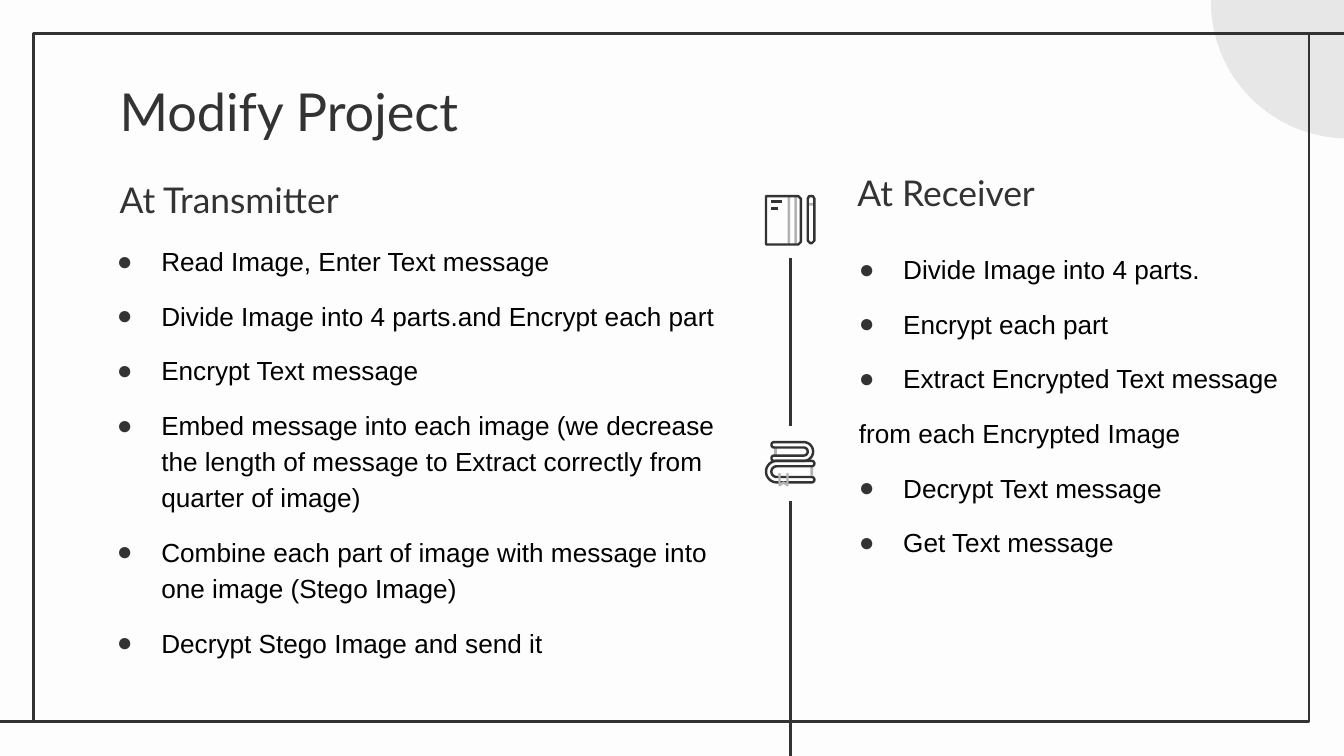
from math import cos, sin, pi
from lxml import etree
from pptx import Presentation
from pptx.dml.color import RGBColor
from pptx.enum.shapes import MSO_CONNECTOR as CONN, MSO_SHAPE as SHAPE
from pptx.enum.text import MSO_ANCHOR as ANCHOR, MSO_AUTO_SIZE as AUTO, PP_ALIGN as ALIGN
from pptx.oxml.ns import qn
from pptx.util import Inches, Pt

W = 10
H = W * 9 / 16
THEME = {
    "bg": "FDFDFD", "ink": "333333", "black": "000000", "grey": "B2B2B2", "disc": "E8E7E7",
    "head_font": "Lato", "body_font": "Arial",
    "title": 28, "heading": 19, "body": 14, "rule": 1.5, "icon": 1.3,
}
TITLE = "Modify Project"
TRANSMITTER = [
    "Read Image, Enter Text message",
    "Divide Image into 4 parts.and Encrypt each part",
    "Encrypt Text message",
    "Embed message into each image (we decrease the length of message to Extract correctly "
    "from quarter of image)",
    "Combine each part of image with message into one image (Stego Image)",
    "Decrypt Stego Image and send it",
]
RECEIVER = [
    "Divide Image into 4 parts.",
    "Encrypt each part",
    "Extract Encrypted Text message",
    "from each Encrypted Image",
    "Decrypt Text message",
    "Get Text message",
]
UNBULLETED = {"from each Encrypted Image"}
COLUMNS = [
    ("At Transmitter", (0.79, 1.26, 4.66, 0.48), TRANSMITTER, (0.6, 1.69, 5.03, 3.35)),
    ("At Receiver", (6.28, 1.26, 3.42, 0.43), RECEIVER, (6.12, 1.75, 3.6, 3.3)),
]
FRAME = (0.25, 0.25, 9.49, 5.12)
AXIS = 5.88
RULES = [
    ((0, 5.37), (0.25, 5.37)),
    ((9.74, 0.25), (W, 0.25)),
    ((AXIS, 1.92), (AXIS, 3.17)),
    ((AXIS, 3.73), (AXIS, H)),
]
NOTE_LINES = [((5.74, 1.5), (5.82, 1.5)), ((5.74, 1.55), (5.79, 1.55))]
STRIPS = [(5.86, 1.46, 0.02, 0.36), (5.91, 1.46, 0.02, 0.36), (6.01, 1.51, 0.05, 0.02),
          (6.03, 3.47, 0.02, 0.07), (5.76, 3.33, 0.02, 0.06)]
COVER = [(5.7, 1.46), (5.94, 1.46), (5.96, 1.48), (5.96, 1.8), (5.94, 1.82), (5.7, 1.82)]
PEN = [(6.01, 1.48), (6.02, 1.46), (6.05, 1.46), (6.06, 1.48), (6.06, 1.79), (6.04, 1.81),
       (6.03, 1.81), (6.01, 1.79)]
BOOKMARK = [(5.8, 3.52), (5.8, 3.61), (5.83, 3.59), (5.86, 3.61), (5.86, 3.52)]
BOOKS = [
    {"spine": 5.98, "pages": 5.76, "mid": 3.36, "outer": 0.07, "inner": 0.03, "side": 1},
    {"spine": 5.78, "pages": 6.04, "mid": 3.51, "outer": 0.08, "inner": 0.04, "side": -1},
]

prs = Presentation()
prs.slide_width, prs.slide_height = Inches(W), Inches(H)
s = prs.slides.add_slide(prs.slide_layouts[4])


def color(name):
    return RGBColor.from_string(THEME[name])


def style(sp, fill=None, line=None, width=THEME["icon"]):
    sp.shadow.inherit = False
    if fill:
        sp.fill.solid()
        sp.fill.fore_color.rgb = color(fill)
    else:
        sp.fill.background()
    if line:
        sp.line.color.rgb = color(line)
        sp.line.width = Pt(width)
    else:
        sp.line.fill.background()


def block(kind, box, **look):
    style(s.shapes.add_shape(kind, *map(Inches, box)), **look)


def outline(points, closed=True, line="ink"):
    pts = [(Inches(x), Inches(y)) for x, y in points]
    fb = s.shapes.build_freeform(*pts[0])
    fb.add_line_segments(pts[1:], close=closed)
    style(fb.convert_to_shape(), line=line)


def rule(start, end, width=THEME["rule"]):
    c = s.shapes.add_connector(CONN.STRAIGHT, *map(Inches, start + end))
    c.line.color.rgb = color("ink")
    c.line.width = Pt(width)
    etree.SubElement(c._element.spPr, qn("a:effectLst"))


def set_marker(p, bulleted, margin, hanging):
    pPr = p._p.get_or_add_pPr()
    pPr.set("marL", str(Inches(margin)))
    pPr.set("indent", str(Inches(hanging)))
    if not bulleted:
        etree.SubElement(pPr, qn("a:buNone"))
        return
    clr = etree.SubElement(pPr, qn("a:buClr"))
    etree.SubElement(clr, qn("a:srgbClr"), val=THEME["ink"])
    etree.SubElement(pPr, qn("a:buFont"), typeface=THEME["body_font"])
    etree.SubElement(pPr, qn("a:buChar"), char="●")


def write(sp, box, texts, size, font="head_font", ink="ink", anchor=ANCHOR.TOP,
          spacing=1.15, gap=0, bullets=False):
    sp.left, sp.top, sp.width, sp.height = map(Inches, box)
    tf = sp.text_frame
    tf.word_wrap, tf.auto_size, tf.vertical_anchor = True, AUTO.NONE, anchor
    tf.margin_left = tf.margin_right = tf.margin_top = tf.margin_bottom = Inches(0.1)
    for i, text in enumerate(texts):
        p = tf.add_paragraph() if i else tf.paragraphs[0]
        if bullets and text not in UNBULLETED:
            set_marker(p, True, 0.5, -0.33)
        else:
            set_marker(p, False, 0.17 if bullets else 0, 0)
        p.alignment, p.line_spacing = ALIGN.LEFT, spacing
        p.space_before, p.space_after = Pt(gap if i else 0), Pt(0)
        r = p.add_run()
        r.text = text
        r.font.name, r.font.size, r.font.bold = THEME[font], Pt(THEME[size]), False
        r.font.color.rgb = color(ink)


def arc(cx, cy, radius, start, side, steps=16):
    angles = [start + pi * k / steps for k in range(steps + 1)]
    return [(cx + side * radius * cos(a), cy + radius * sin(a)) for a in angles]


def book(spine, pages, mid, outer, inner, side):
    edge, cap = (outer + inner) / 2, (outer - inner) / 2
    return (arc(spine, mid, outer, -pi / 2, side)
            + arc(pages, mid + edge, cap, pi / 2, side)
            + arc(spine, mid, inner, -pi / 2, side)[::-1]
            + arc(pages, mid - edge, cap, pi / 2, side))


s.background.fill.solid()
s.background.fill.fore_color.rgb = color("bg")
block(SHAPE.OVAL, (9.01, -1.01, 2.04, 2.04), fill="disc")
block(SHAPE.RECTANGLE, FRAME, line="ink", width=THEME["rule"])
for start, end in RULES:
    rule(start, end)

for strip in STRIPS:
    block(SHAPE.RECTANGLE, strip, fill="grey")
outline(COVER)
outline(PEN)
for start, end in NOTE_LINES:
    rule(start, end, THEME["icon"])
for b in BOOKS:
    outline(book(**b))
outline(BOOKMARK, closed=False, line="grey")

title, *bodies = s.placeholders
write(title, (0.79, 0.49, 8.43, 0.63), [TITLE], "title", spacing=1.0)
for (heading, head_box, items, list_box), head, body in zip(COLUMNS, bodies[::2], bodies[1::2]):
    write(head, head_box, [heading], "heading", anchor=ANCHOR.BOTTOM)
    write(body, list_box, items, "body", font="body_font", ink="black", gap=10, bullets=True)

prs.save("out.pptx")
